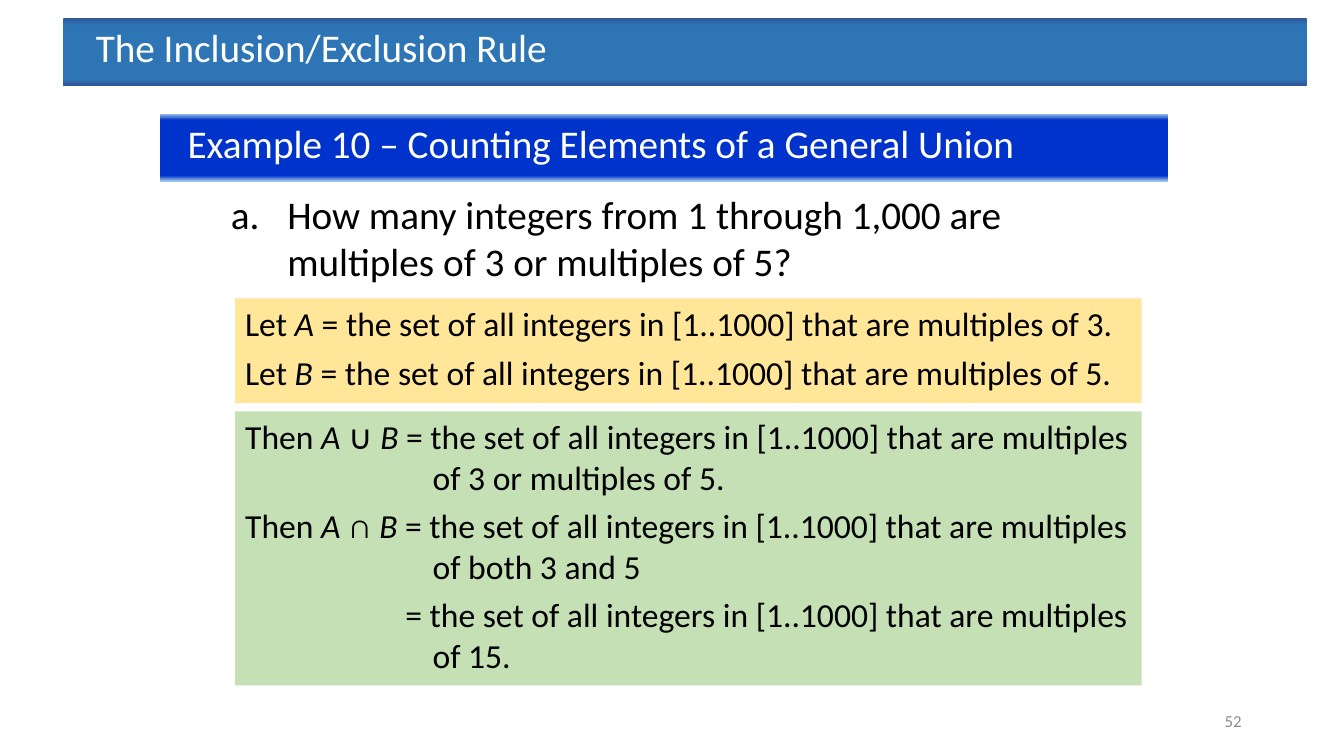
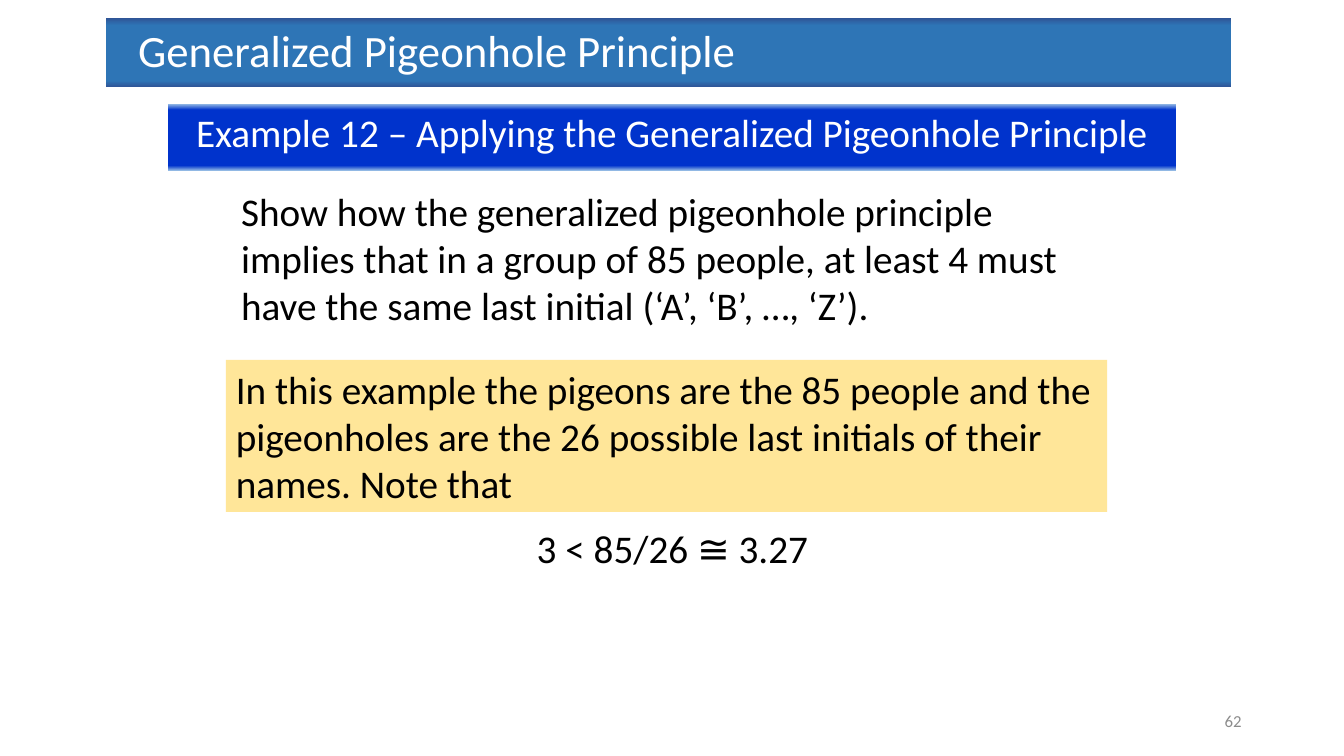
from dataclasses import dataclass

from lxml.etree import SubElement
from pptx import Presentation
from pptx.dml.color import RGBColor
from pptx.enum.shapes import MSO_SHAPE
from pptx.enum.text import MSO_ANCHOR, MSO_AUTO_SIZE, PP_ALIGN
from pptx.oxml.ns import qn
from pptx.presentation import Presentation as Deck
from pptx.shapes.autoshape import Shape
from pptx.slide import Slide
from pptx.util import Inches, Pt

COLUMNS, ROWS = 160, 90
CELL = Inches(7.5) // ROWS

Gradient = tuple[tuple[int, str], ...]


@dataclass(frozen=True)
class Theme:
    """Colours, font and type sizes of the deck."""

    font: str = "Calibri"
    ink: str = "000000"
    light: str = "FFFFFF"
    muted: str = "8C8C8C"
    given: str = "FFE699"
    derived: str = "C5E0B4"
    title_band: Gradient = ((0, "2F5597"), (11, "2E75B6"), (91, "2E75B6"), (100, "2F5597"))
    example_band: Gradient = ((0, "9DC3E6"), (9, "0033CC"), (92, "0033CC"), (100, "9DC3E6"))
    large: int = 32
    normal: int = 28
    detail: int = 24
    small: int = 12


THEME = Theme()


@dataclass(frozen=True)
class Box:
    """Place on the slide in grid columns and rows."""

    column: float
    row: float
    columns: float
    rows: float


@dataclass(frozen=True)
class Line:
    """Paragraph with *italic* marks and indents in inches."""

    text: str
    indent: float = 0
    first: float = 0
    numbered: bool = False


@dataclass(frozen=True)
class Panel:
    """Filled box of explanation."""

    box: Box
    lines: tuple[Line, ...]
    fill: str
    size: int
    after: int = 0


@dataclass(frozen=True)
class Example:
    """Content of one example slide."""

    title: str
    title_box: Box
    title_size: int
    heading: str
    heading_box: Box
    question: Line
    question_box: Box
    panels: tuple[Panel, ...]
    number: str
    formula: str = ""


NUMBER_BOX = Box(113, 83.4, 36, 4.8)
FORMULA_BOX = Box(61.1, 61.8, 37.9, 6.84)
TITLE_INDENT, HEADING_INDENT = 0.22, 0.18
HANG = 1.86

EXAMPLES = (
    Example(
        title="The Inclusion/Exclusion Rule",
        title_box=Box(7.56, 2.16, 148, 8),
        title_size=THEME.normal,
        heading="Example 10 – Counting Elements of a General Union",
        heading_box=Box(19, 13.56, 120, 8),
        question=Line(
            "How many integers from 1 through 1,000 are multiples of 3 or multiples of 5?",
            indent=0.56, first=-0.56, numbered=True,
        ),
        question_box=Box(26.28, 22.08, 105.5, 13.56),
        panels=(
            Panel(
                Box(28, 35.52, 107.9, 12.48),
                (
                    Line("Let *A* = the set of all integers in [1..1000] that are multiples of 3."),
                    Line("Let *B* = the set of all integers in [1..1000] that are multiples of 5."),
                ),
                THEME.given, THEME.detail, after=6,
            ),
            Panel(
                Box(28, 48.96, 107.9, 32.64),
                (
                    Line("Then *A *∪ *B *= the set of all integers in [1..1000] that are "
                         "multiples of 3 or multiples of 5.", HANG, -HANG),
                    Line("Then *A *∩ *B *= the set of all integers in [1..1000] that are "
                         "multiples of both 3 and 5", HANG, -HANG),
                    Line("= the set of all integers in [1..1000] that are multiples of 15.",
                         HANG, -0.27),
                ),
                THEME.derived, THEME.detail, after=6,
            ),
        ),
        number="52",
    ),
    Example(
        title="Generalized Pigeonhole Principle",
        title_box=Box(12.6, 2.16, 134, 8.2),
        title_size=THEME.large,
        heading="Example 12 – Applying the Generalized Pigeonhole Principle",
        heading_box=Box(20, 12.36, 120, 8),
        question=Line(
            "Show how the generalized pigeonhole principle implies that in a group of 85 people, "
            "at least 4 must have the same last initial (‘A’, ‘B’, …, ‘Z’)."
        ),
        question_box=Box(27.5, 21.7, 104.3, 19),
        panels=(
            Panel(
                Box(26.9, 42.84, 104.9, 18.1),
                (Line("In this example the pigeons are the 85 people and the pigeonholes are "
                      "the 26 possible last initials of their names. Note that"),),
                THEME.given, THEME.normal,
            ),
        ),
        number="62",
        formula="3 < 85/26 ≅ 3.27",
    ),
)


def lengths(box: Box) -> tuple[int, int, int, int]:
    """Turn grid units into left, top, width and height."""
    return tuple(round(CELL * share) for share in (box.column, box.row, box.columns, box.rows))


def place(holder: Shape, box: Box) -> Shape:
    """Move a placeholder to its box."""
    holder.left, holder.top, holder.width, holder.height = lengths(box)
    return holder


def write(shape: Shape, *lines: Line, size: int = THEME.normal, color: str = THEME.ink,
          align: PP_ALIGN = PP_ALIGN.LEFT, anchor: MSO_ANCHOR = MSO_ANCHOR.TOP,
          after: int = 0) -> None:
    """Fill a shape with formatted paragraphs."""
    frame = shape.text_frame
    frame.word_wrap = True
    frame.auto_size = MSO_AUTO_SIZE.NONE
    frame.vertical_anchor = anchor
    for position, line in enumerate(lines):
        paragraph = frame.add_paragraph() if position else frame.paragraphs[0]
        paragraph.alignment = align
        paragraph.space_before = Pt(0)
        paragraph.space_after = Pt(after)
        properties = paragraph._p.get_or_add_pPr()
        properties.set("marL", str(Inches(line.indent)))
        properties.set("indent", str(Inches(line.first)))
        if line.numbered:
            SubElement(properties, qn("a:buAutoNum"), type="alphaLcPeriod")
        else:
            SubElement(properties, qn("a:buNone"))
        for index, part in enumerate(line.text.split("*")):
            if part:
                run = paragraph.add_run()
                run.text = part
                run.font.name = THEME.font
                run.font.size = Pt(size)
                run.font.italic = index % 2 == 1
                run.font.color.rgb = RGBColor.from_string(color)


def shade(shape: Shape, gradient: Gradient) -> None:
    """Fill a band with a vertical gradient."""
    shape.fill.gradient()
    shape.fill.gradient_angle = 270
    stops = shape.element.spPr.find(".//" + qn("a:gsLst"))
    for stop in list(stops):
        stops.remove(stop)
    for percent, color in gradient:
        stop = SubElement(stops, qn("a:gs"), pos=str(percent * 1000))
        SubElement(stop, qn("a:srgbClr"), val=color)


def add_block(slide: Slide, box: Box) -> Shape:
    """Add a rectangle without line or shadow."""
    block = slide.shapes.add_shape(MSO_SHAPE.RECTANGLE, *lengths(box))
    block.line.fill.background()
    block.shadow.inherit = False
    return block


def add_example(deck: Deck, example: Example) -> None:
    """Build one example slide."""
    slide = deck.slides.add_slide(deck.slide_layouts[1])
    title = place(slide.shapes.title, example.title_box)
    shade(title, THEME.title_band)
    write(title, Line(example.title, TITLE_INDENT), size=example.title_size, color=THEME.light)

    question = place(slide.placeholders[1], example.question_box)
    write(question, example.question)

    heading = add_block(slide, example.heading_box)
    shade(heading, THEME.example_band)
    write(heading, Line(example.heading, HEADING_INDENT), color=THEME.light)

    for panel in example.panels:
        block = add_block(slide, panel.box)
        block.fill.solid()
        block.fill.fore_color.rgb = RGBColor.from_string(panel.fill)
        write(block, *panel.lines, size=panel.size, after=panel.after)

    if example.formula:
        formula = slide.shapes.add_textbox(*lengths(FORMULA_BOX))
        write(formula, Line(example.formula), align=PP_ALIGN.CENTER)

    number = slide.shapes.add_textbox(*lengths(NUMBER_BOX))
    write(number, Line(example.number), size=THEME.small, color=THEME.muted,
          align=PP_ALIGN.RIGHT, anchor=MSO_ANCHOR.MIDDLE)


def main() -> None:
    """Build and save the deck."""
    deck = Presentation()
    deck.slide_width, deck.slide_height = COLUMNS * CELL, ROWS * CELL
    for example in EXAMPLES:
        add_example(deck, example)
    deck.save("out.pptx")


if __name__ == "__main__":
    main()
